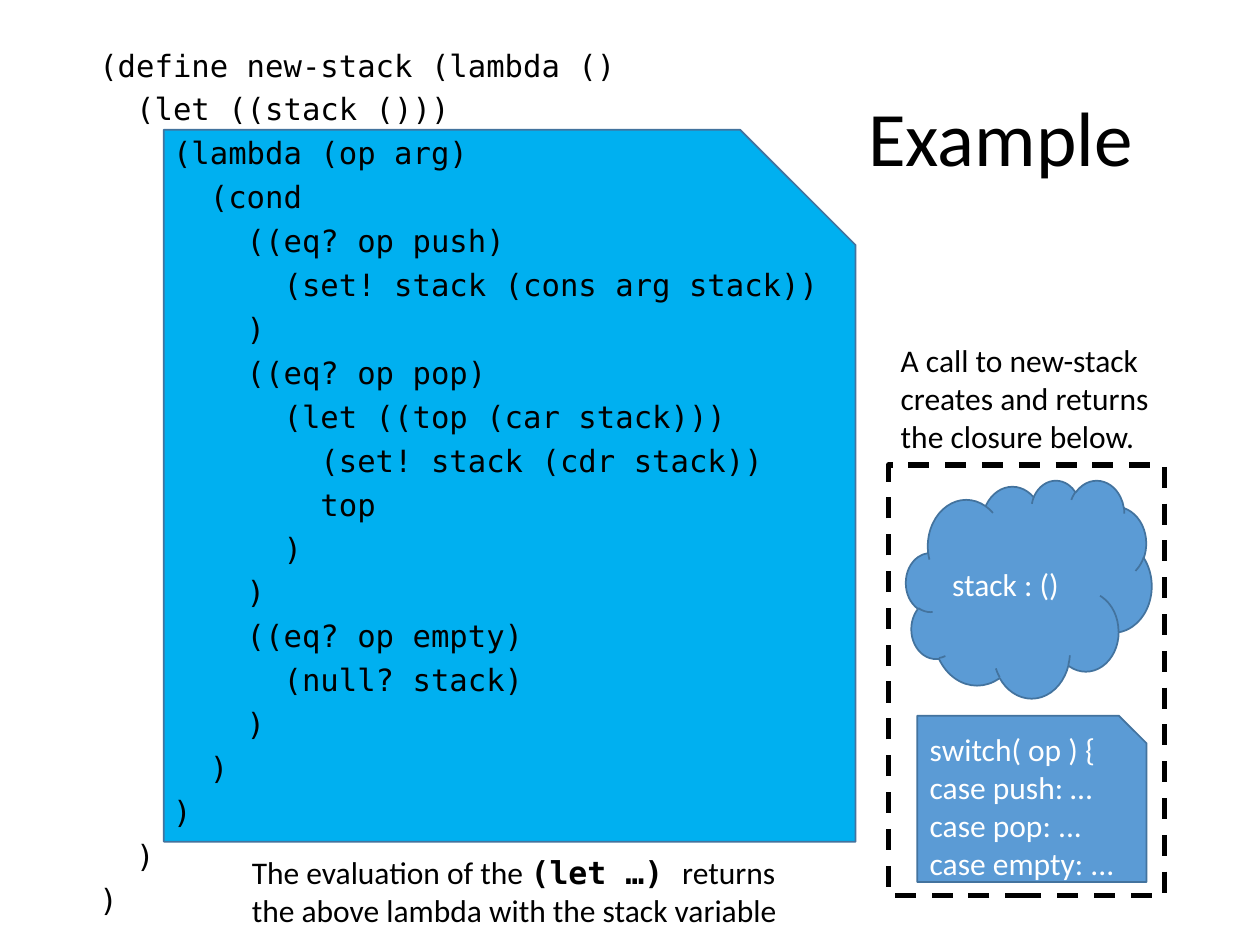
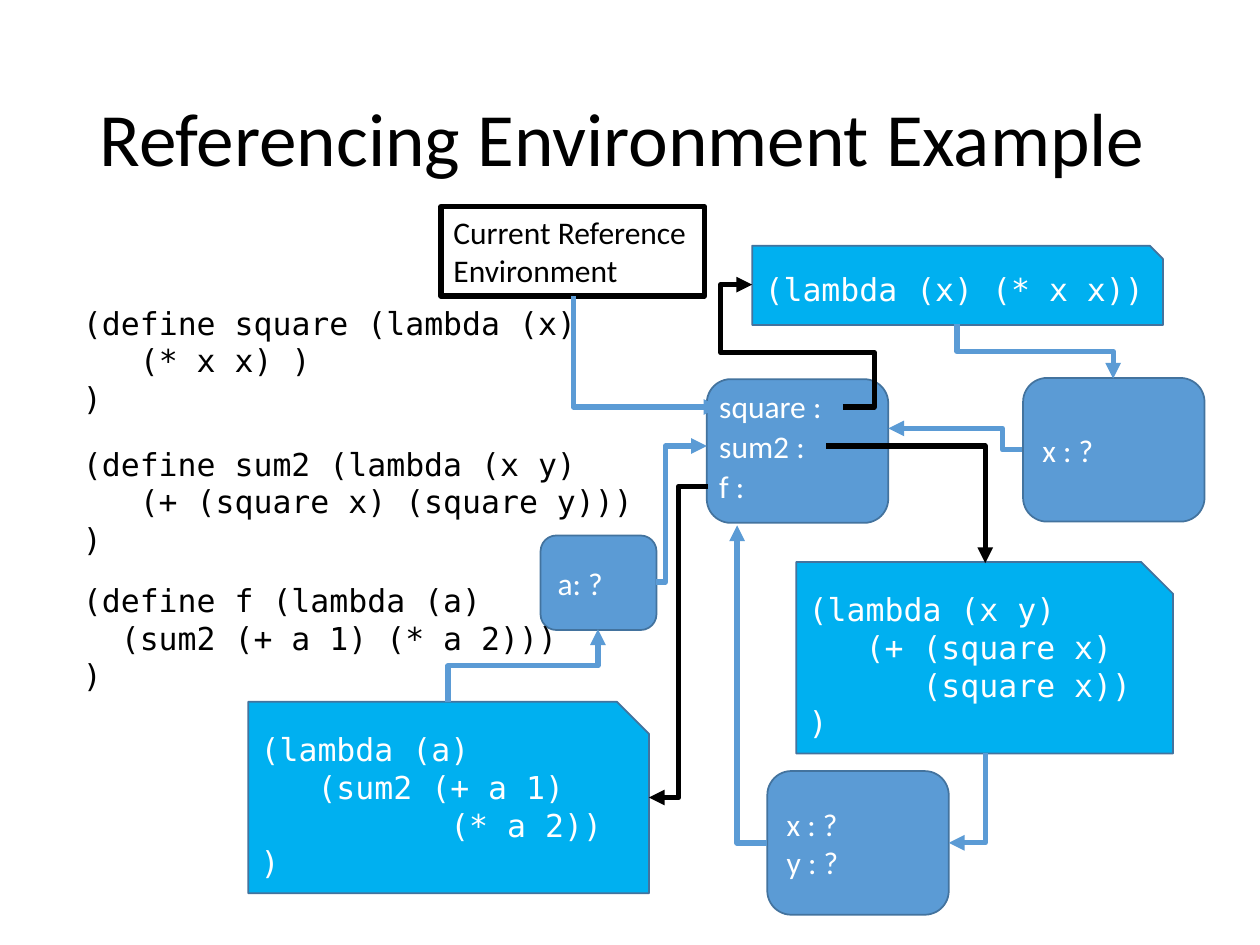
from dataclasses import dataclass

from lxml.etree import SubElement
from pptx import Presentation
from pptx.dml.color import RGBColor
from pptx.enum.dml import MSO_LINE
from pptx.enum.shapes import MSO_CONNECTOR, MSO_SHAPE
from pptx.enum.text import MSO_ANCHOR, MSO_AUTO_SIZE, PP_ALIGN
from pptx.oxml.ns import qn
from pptx.slide import Slide
from pptx.text.text import TextFrame
from pptx.util import Inches, Pt

COLORS = {"black": "000000", "white": "FFFFFF", "code": "00B0F0",
          "scope": "5B9BD5", "edge": "43739E"}
SANS = "Calibri"
MONO = "DejaVu Sans Mono"
TITLE_TOP, TITLE_HEIGHT = 0.4, 1.45
TITLE_ONLY = 5


@dataclass
class Node:
    """A shape with left-aligned text; without fill it is a plain outline."""
    left: float
    top: float
    width: float
    height: float
    text: str = ""
    kind: MSO_SHAPE = MSO_SHAPE.ROUNDED_RECTANGLE
    fill: str | None = "scope"
    line: str = "edge"
    line_width: float = 1
    dashed: bool = False
    font: str = SANS
    anchor: MSO_ANCHOR = MSO_ANCHOR.MIDDLE


@dataclass
class Label:
    """Free text on the slide."""
    left: float
    top: float
    width: float
    height: float
    text: str
    font: str = SANS
    color: str = "black"
    wrap: bool = False


@dataclass
class Wire:
    """A bent arrow: frame before rotation, flips ("h", "v"), segments, bends."""
    left: float
    top: float
    width: float
    height: float
    rotation: int = 0
    flips: str = ""
    segments: int = 2
    bends: tuple[float, ...] = ()
    color: str = "scope"


def rgb(name: str) -> RGBColor:
    """Look up a named colour."""
    return RGBColor.from_string(COLORS[name])


def format_text(frame: TextFrame, font: str, size: float, color: str) -> None:
    """Left-align every paragraph and format every run."""
    for para in frame.paragraphs:
        para.alignment = PP_ALIGN.LEFT
        for span in para.runs:
            span.font.name = font
            span.font.size = Pt(size)
            span.font.color.rgb = rgb(color)


def add_page(deck: Presentation, title: str, left: float, width: float,
             size: float) -> Slide:
    """Add a title-only slide with its title placed and styled."""
    page = deck.slides.add_slide(deck.slide_layouts[TITLE_ONLY])
    box = page.shapes.title
    box.left, box.top = Inches(left), Inches(TITLE_TOP)
    box.width, box.height = Inches(width), Inches(TITLE_HEIGHT)
    frame = box.text_frame
    frame.text = title
    frame.auto_size = MSO_AUTO_SIZE.NONE
    frame.vertical_anchor = MSO_ANCHOR.MIDDLE
    frame.paragraphs[0].line_spacing = 0.9
    format_text(frame, SANS, size, "black")
    return page


def add_node(page: Slide, node: Node) -> None:
    """Draw a shape with its text."""
    shape = page.shapes.add_shape(node.kind, Inches(node.left), Inches(node.top),
                                  Inches(node.width), Inches(node.height))
    shape.shadow.inherit = False
    if node.fill:
        shape.fill.solid()
        shape.fill.fore_color.rgb = rgb(node.fill)
    else:
        shape.fill.background()
    shape.line.color.rgb = rgb(node.line)
    shape.line.width = Pt(node.line_width)
    if node.dashed:
        shape.line.dash_style = MSO_LINE.DASH
    if node.text:
        frame = shape.text_frame
        frame.text = node.text
        frame.word_wrap = True
        frame.vertical_anchor = node.anchor
        format_text(frame, node.font, 18, "white" if node.fill else "black")


def add_label(page: Slide, label: Label, size: float = 18) -> TextFrame:
    """Draw a text box and return its text frame."""
    box = page.shapes.add_textbox(Inches(label.left), Inches(label.top),
                                  Inches(label.width), Inches(label.height))
    frame = box.text_frame
    frame.text = label.text
    frame.word_wrap = label.wrap
    format_text(frame, label.font, size, label.color)
    return frame


def add_wire(page: Slide, wire: Wire) -> None:
    """Draw a bent connector with an arrowhead at its end."""
    connector = page.shapes.add_connector(
        MSO_CONNECTOR.ELBOW, Inches(wire.left), Inches(wire.top),
        Inches(wire.left + wire.width), Inches(wire.top + wire.height))
    connector.line.color.rgb = rgb(wire.color)
    connector.line.width = Pt(3)
    properties = connector._element.spPr
    frame = properties.find(qn("a:xfrm"))
    frame.set("rot", str(wire.rotation * 60000))
    for flip in wire.flips:
        frame.set(f"flip{flip.upper()}", "1")
    geometry = properties.find(qn("a:prstGeom"))
    geometry.set("prst", f"bentConnector{wire.segments}")
    guides = geometry.find(qn("a:avLst"))
    for number, bend in enumerate(wire.bends, start=1):
        SubElement(guides, qn("a:gd"), name=f"adj{number}",
                   fmla=f"val {round(bend * 100000)}")
    SubElement(properties.find(qn("a:ln")), qn("a:tailEnd"), type="triangle")
    SubElement(properties, qn("a:effectLst"))


STACK_CODE = """(define new-stack (lambda ()
  (let ((stack ()))
    (lambda (op arg)
      (cond
        ((eq? op push)
          (set! stack (cons arg stack))
        )
        ((eq? op pop)
          (let ((top (car stack)))
            (set! stack (cdr stack))
            top
          )
        )
        ((eq? op empty)
          (null? stack)
        )
      )
    )
  )
)"""


def build_stack_page(deck: Presentation) -> None:
    """Show the stack code beside the closure it returns."""
    page = add_page(deck, "Example", 6.79, 2.52, 44)
    snip = MSO_SHAPE.SNIP_1_RECTANGLE
    add_node(page, Node(1.3, 1.03, 5.49, 5.65, kind=snip, fill="code"))
    code = add_label(page, Label(0.69, 0.4, 6.13, 7.1, STACK_CODE, MONO, wrap=True), 17.5)
    for para in code.paragraphs:
        para.line_spacing = 0.7
        para.space_before = Pt(10.4)

    switch = "switch( op ) {\ncase push: …\ncase pop: ...\ncase empty: ..."
    add_node(page, Node(7.28, 5.68, 1.82, 1.32, switch, snip))
    add_node(page, Node(7.19, 3.81, 1.95, 1.73, "stack : ()", MSO_SHAPE.CLOUD))
    add_node(page, Node(7.05, 3.69, 2.19, 3.42, kind=MSO_SHAPE.RECTANGLE, fill=None,
                        line="black", line_width=3, dashed=True))
    add_label(page, Label(7.05, 2.66, 2.19, 1.01, wrap=True,
                          text="A call to new-stack creates and returns the closure below."))

    caption = add_label(page, Label(1.9, 6.72, 4.42, 0.71, "The evaluation of the ", wrap=True))
    para = caption.paragraphs[0]
    expression, ending = para.add_run(), para.add_run()
    expression.text = "(let …) "
    ending.text = "returns the above lambda with the stack variable"
    format_text(caption, SANS, 18, "black")
    expression.font.name = MONO
    expression.font.bold = True


def build_environment_page(deck: Presentation) -> None:
    """Show three functions and the environments that they refer to."""
    page = add_page(deck, "Referencing Environment Example", 0.69, 8.62, 43)
    scopes = [
        Node(8.12, 3, 1.44, 1.14, "x : ?"),
        Node(5.61, 3.01, 1.44, 1.14),
        Node(6.09, 6.12, 1.44, 1.14, "x : ?\ny : ?"),
        Node(4.29, 4.25, 0.92, 0.75, "a: ?"),
    ]
    lambdas = [
        Node(5.97, 1.95, 3.26, 0.63, "(lambda (x) (* x x))"),
        Node(6.32, 4.46, 2.99, 1.52,
             "(lambda (x y)\n   (+ (square x)\n      (square x))\n)"),
        Node(1.97, 5.57, 3.18, 1.52,
             "(lambda (a)\n   (sum2 (+ a 1)\n          (* a 2))\n)"),
    ]
    for node in lambdas:
        node.kind, node.fill, node.font = MSO_SHAPE.SNIP_1_RECTANGLE, "code", MONO
    current = Node(3.5, 1.64, 2.09, 0.71, "Current Reference Environment",
                   MSO_SHAPE.RECTANGLE, None, "black", 3, anchor=MSO_ANCHOR.TOP)
    for node in [*scopes, current, *lambdas]:
        add_node(page, node)

    scope_wires = [
        Wire(4.69, 2.21, 0.88, 1.16, 270, "h"),
        Wire(8, 2.17, 0.43, 1.24, 270, "h", 3, (0.5,)),
        Wire(7.05, 3.4, 1.06, 0.17, 180, "", 3, (0.146,)),
        Wire(7.32, 6.19, 0.71, 0.29, 90),
        Wire(5.85, 4.17, 0.24, 2.52, 180),
        Wire(3.86, 4.69, 0.58, 1.19, 90, "hv", 3, (0.5,)),
        Wire(5.21, 3.54, 0.4, 1.08, 0, "v", 3, (0.178,)),
    ]
    binding_wires = [
        Wire(5.97, 2.26, 0.72, 0.97, 0, "hv", 5, (-0.346, 0.442, 1.346), "black"),
        Wire(6.56, 3.54, 1.26, 0.93, color="black"),
        Wire(5.15, 3.86, 0.47, 2.47, 180, "v", 3, (0.5,), "black"),
    ]
    for wire in scope_wires + binding_wires:
        add_wire(page, wire)

    names = [("square : ", 1.08), ("sum2 : ", 0.95), ("f : ", 0.46)]
    for row, (name, width) in enumerate(names):
        add_label(page, Label(5.61, 3.02 + 0.32 * row, width, 0.4, name, color="white"))
    definitions = [
        (2.36, 4.42, "(define square (lambda (x)\n   (* x x) )\n)"),
        (3.48, 4.57, "(define sum2 (lambda (x y)\n   (+ (square x) (square y)))\n)"),
        (4.56, 3.97, "(define f (lambda (a)\n  (sum2 (+ a 1) (* a 2)))\n)"),
    ]
    for top, width, code in definitions:
        add_label(page, Label(0.56, top, width, 1.01, code, MONO))


def main() -> None:
    """Build and save the deck."""
    deck = Presentation()
    deck.slide_width, deck.slide_height = Inches(10), Inches(7.5)
    build_stack_page(deck)
    build_environment_page(deck)
    deck.save("out.pptx")


main()
